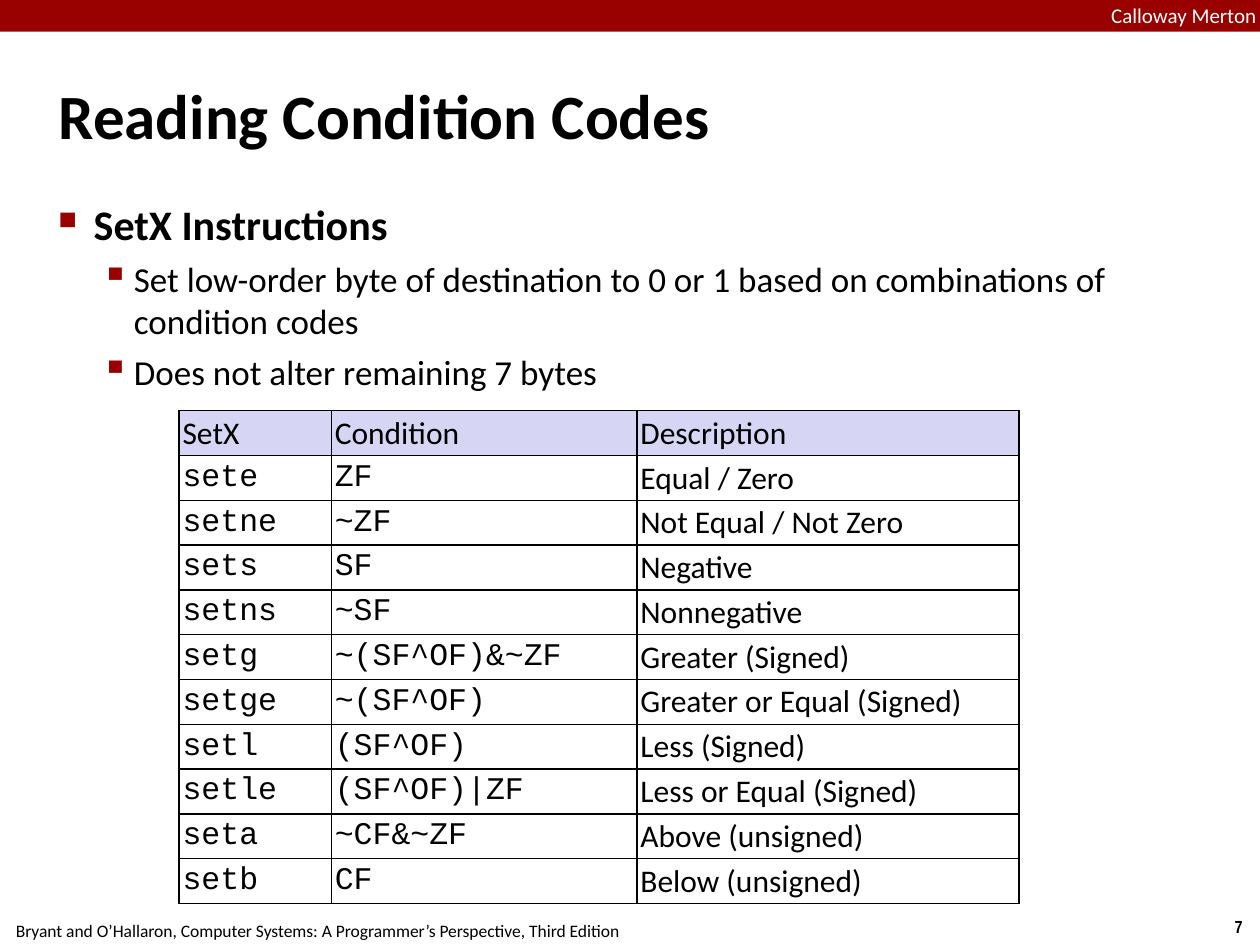
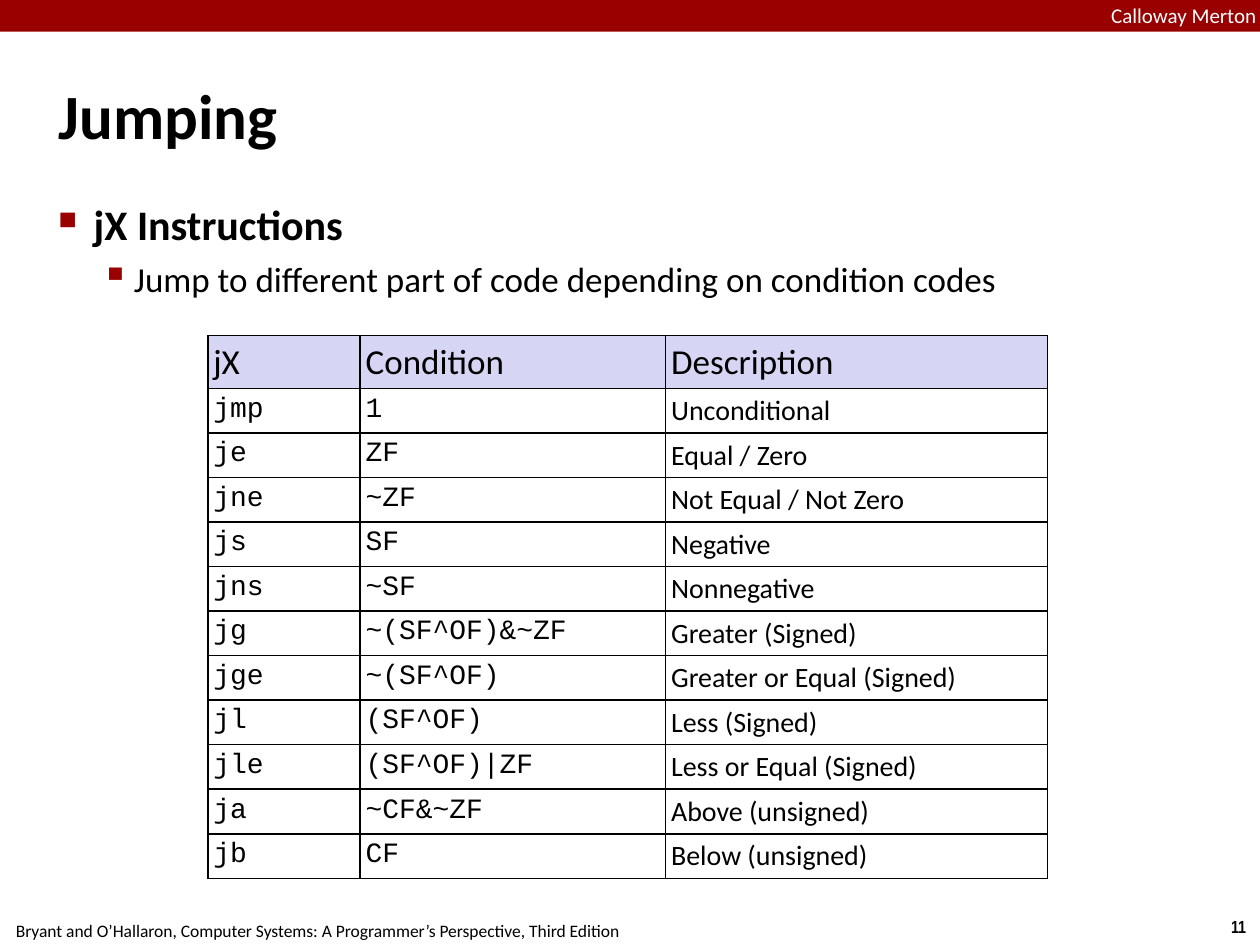
import pptx
import pptx.util
import pptx.dml.color
import pptx.enum.shapes
import pptx.enum.text
import pptx.oxml
import pptx.oxml.ns
import lxml.etree

Cm = pptx.util.Cm
Pt = pptx.util.Pt
RGBColor = pptx.dml.color.RGBColor
ALIGN = pptx.enum.text.PP_ALIGN
ANCHOR = pptx.enum.text.MSO_ANCHOR
qn = pptx.oxml.ns.qn

RED = RGBColor(0x99, 0x00, 0x00)
BLACK = RGBColor(0x00, 0x00, 0x00)
WHITE = RGBColor(0xFF, 0xFF, 0xFF)
LAVENDER = RGBColor(0xD6, 0xD6, 0xF4)

TEXT_FONT = "Calibri"
CODE_FONT = "Courier New"
TITLE_ONLY = 5

TITLE = {"name": TEXT_FONT, "size": Pt(36), "bold": True}
FOOTER = {"name": TEXT_FONT, "size": Pt(10)}
PAGE_NUMBER = {"name": "Arial Narrow", "size": Pt(10), "bold": True}
BAND_LABEL = {"name": TEXT_FONT, "size": Pt(12)}

BULLETS = [
    {"char": "■", "percent": 60, "left": 0.71, "hang": 0.71, "before": 6,
     "font": {"name": TEXT_FONT, "size": Pt(24), "bold": True}},
    {"char": "▪", "percent": 110, "left": 1.52, "hang": 0.66, "before": 5,
     "font": {"name": TEXT_FONT, "size": Pt(20), "bold": False}},
]

COLUMN_WIDTHS = (3.07, 6.16, 7.7)
CONDITIONS = [
    ("e", "ZF", "Equal / Zero"),
    ("ne", "~ZF", "Not Equal / Not Zero"),
    ("s", "SF", "Negative"),
    ("ns", "~SF", "Nonnegative"),
    ("g", "~(SF^OF)&~ZF", "Greater (Signed)"),
    ("ge", "~(SF^OF)", "Greater or Equal (Signed)"),
    ("l", "(SF^OF)", "Less (Signed)"),
    ("le", "(SF^OF)|ZF", "Less or Equal (Signed)"),
    ("a", "~CF&~ZF", "Above (unsigned)"),
    ("b", "CF", "Below (unsigned)"),
]


def set_all(target, values):
    for name, value in values.items():
        setattr(target, name, value)


def margins(cm):
    sides = ("left", "right", "top", "bottom")
    return {f"margin_{side}": Cm(cm) for side in sides}


def add_run(p, text, font, color=BLACK):
    r = p.add_run()
    r.text = text
    set_all(r.font, font)
    r.font.color.rgb = color


def set_indent(p, left, hang):
    pPr = p._p.get_or_add_pPr()
    pPr.set("marL", str(Cm(left)))
    pPr.set("indent", str(-Cm(hang)))
    return pPr


def add_label(s, box, text, font, color=BLACK, align=ALIGN.CENTER, frame=None):
    tf = s.shapes.add_textbox(*map(Cm, box)).text_frame
    set_all(tf, {"word_wrap": False, **(frame or {})})
    p = tf.paragraphs[0]
    p.alignment = align
    add_run(p, text, font, color)


def add_band(s):
    sp = s.shapes.add_shape(pptx.enum.shapes.MSO_SHAPE.RECTANGLE,
                            0, 0, Cm(25.4), Cm(0.64))
    sp.shadow.inherit = False
    sp.fill.solid()
    sp.fill.fore_color.rgb = RED
    sp.line.fill.background()
    add_label(s, (22.4, 0.05, 3.66, 0.48), "Calloway Merton", BAND_LABEL,
              WHITE, ALIGN.LEFT, margins(0))


def add_title(s, text):
    sp = s.shapes.title
    set_all(sp, {"left": Cm(1.07), "top": Cm(0.71),
                 "width": Cm(23.29), "height": Cm(3.18)})
    tf = sp.text_frame
    set_all(tf, {"vertical_anchor": ANCHOR.MIDDLE, "word_wrap": True,
                 **margins(0.11)})
    p = tf.paragraphs[0]
    p.alignment = ALIGN.LEFT
    set_indent(p, 0.33, 0.33)
    add_run(p, text, TITLE)


def add_bullet(p, text, level):
    style = BULLETS[level]
    p.level = level
    p.space_before = Pt(style["before"])
    pPr = set_indent(p, style["left"], style["hang"])
    color = lxml.etree.SubElement(pPr, qn("a:buClr"))
    lxml.etree.SubElement(color, qn("a:srgbClr"), val=str(RED))
    lxml.etree.SubElement(pPr, qn("a:buSzPct"), val=str(style["percent"] * 1000))
    lxml.etree.SubElement(pPr, qn("a:buChar"), char=style["char"])
    add_run(p, text, style["font"])


def add_bullets(s, height, heading, points):
    box = map(Cm, (1.07, 3.89, 23.29, height))
    tf = s.shapes.add_textbox(*box).text_frame
    set_all(tf, {"word_wrap": True, **margins(0.11)})
    add_bullet(tf.paragraphs[0], heading, 0)
    for point in points:
        add_bullet(tf.add_paragraph(), point, 1)


def add_borders(cell):
    tcPr = cell._tc.get_or_add_tcPr()
    for side in ("a:lnL", "a:lnR", "a:lnT", "a:lnB"):
        ln = lxml.etree.SubElement(tcPr, qn(side), w=str(Pt(1)))
        fill = lxml.etree.SubElement(ln, qn("a:solidFill"))
        lxml.etree.SubElement(fill, qn("a:srgbClr"), val=str(BLACK))


def add_cell(cell, text, font, frame, fill):
    set_all(cell, frame)
    add_borders(cell)
    if fill is None:
        cell.fill.background()
    else:
        cell.fill.solid()
        cell.fill.fore_color.rgb = fill
    add_run(cell.text_frame.paragraphs[0], text, font)


def add_condition_table(s, left, top, rows, header_height, header_size,
                        body_size, frame):
    row_height = 0.86
    height = header_height + row_height * (len(rows) - 1)
    table = s.shapes.add_table(len(rows), len(COLUMN_WIDTHS), Cm(left), Cm(top),
                               Cm(sum(COLUMN_WIDTHS)), Cm(height)).table
    set_all(table, {"first_row": False, "horz_banding": False})
    for column, width in zip(table.columns, COLUMN_WIDTHS):
        column.width = Cm(width)
    for i, row in enumerate(rows):
        header = i == 0
        table.rows[i].height = Cm(header_height if header else row_height)
        for j, text in enumerate(row):
            code = not header and j < 2
            font = {"name": CODE_FONT if code else TEXT_FONT,
                    "size": Pt(header_size if header else body_size)}
            add_cell(table.cell(i, j), text, font, frame,
                     LAVENDER if header else None)


def condition_rows(prefix, extra=()):
    header = (prefix + "X", "Condition", "Description")
    named = [(prefix + suffix, *rest) for suffix, *rest in CONDITIONS]
    return [header, *extra, *named]


def add_slide(prs, title, number):
    s = prs.slides.add_slide(prs.slide_layouts[TITLE_ONLY])
    add_label(s, (24.54, 18.34, 0.86, 0.69), number, PAGE_NUMBER)
    add_label(s, (-0.05, 18.42, 12.9, 0.69),
              "Bryant and O’Hallaron, Computer Systems: "
              "A Programmer’s Perspective, Third Edition", FOOTER)
    add_band(s)
    add_title(s, title)
    return s


def main():
    prs = pptx.Presentation()
    set_all(prs, {"slide_width": Cm(25.4), "slide_height": Cm(19.05)})

    s = add_slide(prs, "Reading Condition Codes", "7")
    add_bullets(s, 15.09, "SetX Instructions", [
        "Set low-order byte of destination to 0 or 1 based on combinations of "
        "condition codes",
        "Does not alter remaining 7 bytes",
    ])
    rows = condition_rows("set")
    rows[0] = ("SetX", *rows[0][1:])
    add_condition_table(s, 3.61, 8.28, rows, 0.86, 18, 18,
                        {"vertical_anchor": ANCHOR.MIDDLE, **margins(0.07)})

    s = add_slide(prs, "Jumping", "11")
    add_bullets(s, 2.39, "jX Instructions", [
        "Jump to different part of code depending on condition codes",
    ])
    rows = condition_rows("j", [("jmp", "1", "Unconditional")])
    add_condition_table(s, 4.19, 6.76, rows, 1.04, 20, 16,
                        {"vertical_anchor": ANCHOR.TOP, **margins(0.11)})

    prs.save("out.pptx")


if __name__ == "__main__":
    main()
